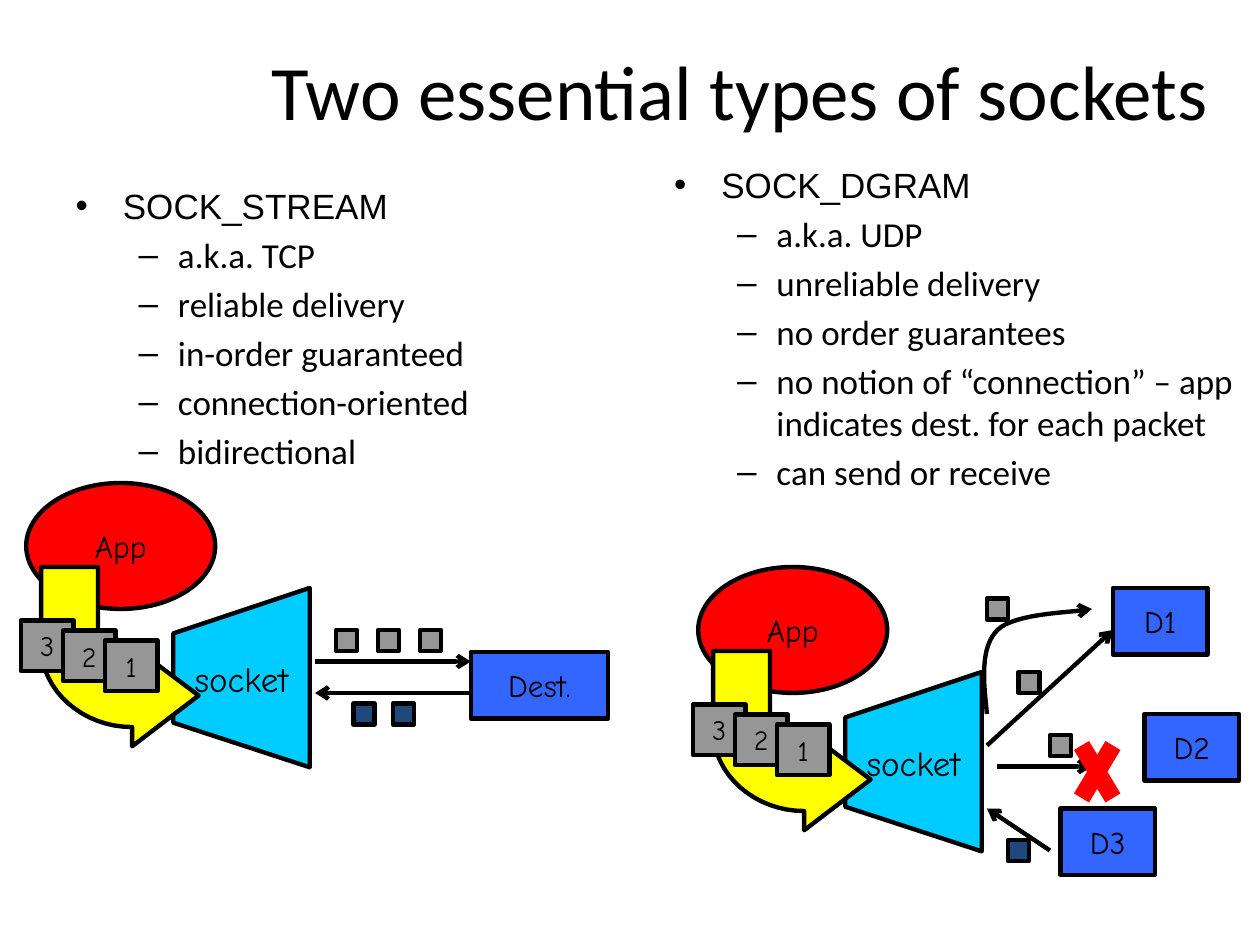
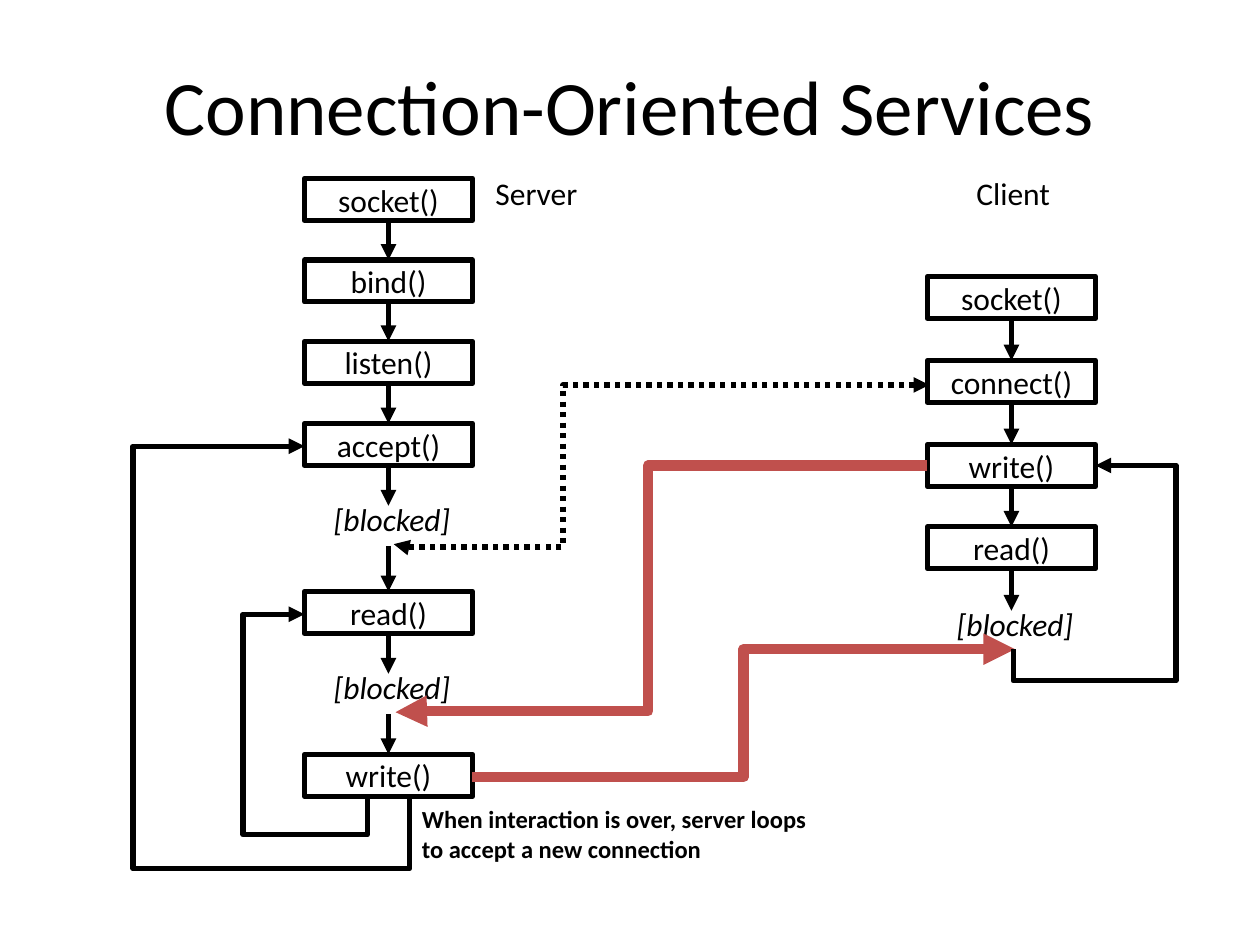
from lxml import etree
from pptx import Presentation
from pptx.dml.color import RGBColor
from pptx.enum.dml import MSO_LINE
from pptx.enum.shapes import MSO_CONNECTOR, MSO_SHAPE
from pptx.enum.text import MSO_ANCHOR, MSO_AUTO_SIZE, PP_ALIGN
from pptx.oxml.ns import qn
from pptx.util import Pt

RECTANGLE, OVAL = MSO_SHAPE.RECTANGLE, MSO_SHAPE.OVAL
STRAIGHT, ELBOW = MSO_CONNECTOR.STRAIGHT, MSO_CONNECTOR.ELBOW
DOTTED = MSO_LINE.ROUND_DOT
LEFT, CENTER = PP_ALIGN.LEFT, PP_ALIGN.CENTER
TOP, MIDDLE = MSO_ANCHOR.TOP, MSO_ANCHOR.MIDDLE
NO_FIT = MSO_AUTO_SIZE.NONE

BLACK, GRAY, NAVY, RED = "000000", "969696", "1F497D", "FF0000"
CYAN, YELLOW, BLUE, BRICK = "00CCFF", "FFFF00", "3366FF", "C0504D"

TITLE = {"name": "Calibri", "size": Pt(44)}
TOPIC = {"name": "Arial", "size": Pt(20)}
DETAIL = {"name": "Calibri", "size": Pt(20)}
STEP = {"name": "Calibri", "size": Pt(18)}
WAITING = {**STEP, "italic": True}
NOTE = {"name": "Calibri", "size": Pt(14), "bold": True}
NODE = {"name": "Comic Neue", "size": Pt(18)}
SOCKET = {"name": "Comic Neue", "size": Pt(20)}
PACKET = {"name": "Comic Neue", "size": Pt(16)}

THIN, THICK, HEAVY, CROSS = 2.5, 3, 6, 10
STEP_WIDTH, STEP_HEIGHT = 96, 24


def paint(color_format, color):
    color_format.rgb = RGBColor.from_string(color)


def apply(target, values):
    for name, value in values.items():
        setattr(target, name, value)


def place(shape, left, top, width, height):
    apply(shape, {"left": Pt(left), "top": Pt(top),
                  "width": Pt(width), "height": Pt(height)})


def write(para, text, font):
    span = para.add_run()
    span.text = text
    apply(span.font, font)
    paint(span.font.color, BLACK)


def outline(shape, color, width):
    paint(shape.line.color, color)
    shape.line.width = Pt(width)


def add_heads(shape, kind, ends=("tailEnd",)):
    line = shape.line._get_or_add_ln()
    for end in ends:
        etree.SubElement(line, qn(f"a:{end}"), type=kind)


def finish(shape, fill, width):
    shape.shadow.inherit = False
    if fill:
        shape.fill.solid()
        paint(shape.fill.fore_color, fill)
    else:
        shape.fill.background()
    outline(shape, BLACK, width)


def add_box(page, left, top, width, height, fill=None, text="", font=None,
            kind=RECTANGLE, line=THIN):
    box = page.shapes.add_shape(kind, Pt(left), Pt(top), Pt(width), Pt(height))
    finish(box, fill, line)
    if text:
        apply(box.text_frame, {
            "word_wrap": False, "vertical_anchor": MIDDLE, "margin_left": 0,
            "margin_right": 0, "margin_top": 0, "margin_bottom": 0})
        para = box.text_frame.paragraphs[0]
        para.alignment = CENTER
        write(para, text, font)
    return box


def add_label(page, left, top, width, height, text, font, align=CENTER, anchor=TOP):
    label = page.shapes.add_textbox(Pt(left), Pt(top), Pt(width), Pt(height))
    apply(label.text_frame, {"word_wrap": True, "vertical_anchor": anchor})
    para = label.text_frame.paragraphs[0]
    para.alignment = align
    write(para, text, font)


def add_outline(page, left, top, points, fill=None, close=True):
    spots = [(Pt(left + x), Pt(top + y)) for x, y in points]
    builder = page.shapes.build_freeform(*spots[0])
    builder.add_line_segments(spots[1:], close=close)
    shape = builder.convert_to_shape()
    finish(shape, fill, THIN)
    return shape


def curve(start, first, second, end, steps=16):
    points = []
    for step in range(steps + 1):
        t = step / steps
        weights = ((1 - t) ** 3, 3 * t * (1 - t) ** 2, 3 * t * t * (1 - t), t ** 3)
        points.append(tuple(
            sum(w * spot[axis] for w, spot in zip(weights, (start, first, second, end)))
            for axis in (0, 1)))
    return points


def finish_line(line, color, width):
    outline(line, color, width)
    etree.SubElement(line.element.spPr, qn("a:effectLst"))


def add_line(page, start, end, color=BLACK, width=THIN, head="arrow"):
    line = page.shapes.add_connector(STRAIGHT, *(Pt(v) for v in (*start, *end)))
    finish_line(line, color, width)
    if head:
        add_heads(line, head)
    return line


def add_route(page, start, end, adjusts, turn=0, flips="", color=BLACK, width=THICK,
              dash=None, ends=("tailEnd",)):
    (x1, y1), (x2, y2) = start, end
    wide, high = abs(x2 - x1), abs(y2 - y1)
    if turn == 90:
        wide, high = high, wide
    left, top = (x1 + x2 - wide) / 2, (y1 + y2 - high) / 2
    route = page.shapes.add_connector(
        ELBOW, Pt(left), Pt(top), Pt(left + wide), Pt(top + high))
    frame = route.element.spPr.find(qn("a:xfrm"))
    frame.set("rot", str(turn * 60000))
    for flip in flips:
        frame.set(f"flip{flip}", "1")
    geometry = route.element.spPr.find(qn("a:prstGeom"))
    geometry.set("prst", f"bentConnector{len(adjusts) + 2}")
    guides = geometry.find(qn("a:avLst"))
    for number, percent in enumerate(adjusts, 1):
        etree.SubElement(guides, qn("a:gd"), name=f"adj{number}",
                         fmla=f"val {round(percent * 1000)}")
    finish_line(route, color, width)
    if dash:
        route.line.dash_style = dash
    add_heads(route, "triangle", ends)


def set_title(page, text, left, top, width, height):
    title = page.shapes.title
    place(title, left, top, width, height)
    apply(title.text_frame, {"vertical_anchor": MIDDLE, "auto_size": NO_FIT})
    para = title.text_frame.paragraphs[0]
    para.alignment = CENTER
    write(para, text, TITLE)


def fill_list(body, topic, details, left, top, width, height):
    place(body, left, top, width, height)
    frame = body.text_frame
    frame.auto_size = NO_FIT
    write(frame.paragraphs[0], topic, TOPIC)
    for detail in details:
        para = frame.add_paragraph()
        para.level = 1
        write(para, detail, DETAIL)


def draw_sender(page, left, top):
    add_box(page, left + 3, top, 108, 72, RED, "App", NODE, kind=OVAL)
    add_outline(page, left, top, [(165, 60), (87, 86), (87, 137), (165, 162.5)], CYAN)
    add_label(page, left + 60, top + 96, 132, 31, "socket", SOCKET, anchor=MIDDLE)
    outer = curve((63.5, 139.5), (35.5, 139.5), (11.5, 119), (11.5, 93))
    inner = curve((44, 93), (44, 98.5), (52.5, 103.5), (63.5, 103.5))
    add_outline(page, left, top, [
        (101.5, 121.5), (63.5, 150.5), *outer, (11.5, 48), (44, 48), *inner,
        (63.5, 93)], YELLOW)
    for index, number in enumerate("321"):
        add_box(page, left + 24 * index, top + 78.5 + 5.75 * index, 30, 29,
                GRAY, number, PACKET)


def draw_packets(page, left, top, spots, color):
    for x, y in spots:
        add_box(page, left + x, top + y, 12, 12, color)


def draw_stream(page, left, top):
    draw_sender(page, left, top)
    draw_packets(page, left, top, [(180 + 24 * i, 84) for i in range(3)], GRAY)
    near, far = left + 168, left + 257
    add_line(page, (near, top + 102), (far, top + 102))
    add_box(page, far, top + 96.5, 78.5, 38, BLUE, "Dest.", NODE)
    add_line(page, (far, top + 120), (near, top + 120))
    draw_packets(page, left, top, [(190, 126), (212.5, 126)], NAVY)


def draw_datagram(page, left, top):
    def spot(x, y):
        return left + x, top + y

    draw_sender(page, left, top)
    draw_packets(page, left, top, [(168, 18), (186, 60), (204, 96)], GRAY)
    add_line(page, spot(168, 102), spot(240, 36))
    for name, x, y in (("D1", 240, 12), ("D3", 210, 138), ("D2", 258, 84)):
        add_box(page, *spot(x, y), 54, 38, BLUE, name, NODE)
    bend = (174, 36)
    path = (curve((168, 84), (166, 65), (164, 46), bend)
            + curve(bend, (184, 26), (219, 26), (228, 24))[1:])
    add_heads(add_outline(page, left, top, path, close=False), "arrow")
    add_line(page, spot(174, 114), spot(228, 114))
    for x1, x2 in ((222, 240), (240, 222)):
        add_line(page, spot(x1, 102), spot(x2, 132), RED, CROSS, head=None)
    add_line(page, spot(204, 162), spot(168, 138))
    draw_packets(page, left, top, [(180, 156)], NAVY)


def draw_calls(page, left, top, steps):
    middle = left + STEP_WIDTH / 2
    previous, bottom = None, None
    for name, offset in steps:
        y = top + offset
        if name == "[blocked]":
            box, entry, leave = None, y + 7, y + 30
            add_label(page, left - 25, y, 150, 29, name, WAITING)
        else:
            box = add_box(page, left, y, STEP_WIDTH, STEP_HEIGHT, None, name, STEP,
                          line=THICK)
            entry, leave = y, y + STEP_HEIGHT
        if bottom is not None:
            arrow = add_line(page, (middle, bottom), (middle, entry),
                             width=THICK, head="triangle")
            if previous:
                arrow.begin_connect(previous, 2)
            if box:
                arrow.end_connect(box, 0)
        previous, bottom = box, leave


def build_types(deck):
    page = deck.slides.add_slide(deck.slide_layouts[3])
    set_title(page, "Two essential types of sockets", 138, 6, 570, 90)
    fill_list(page.placeholders[1], "SOCK_STREAM", [
        "a.k.a. TCP", "reliable delivery", "in-order guaranteed",
        "connection-oriented", "bidirectional"], 36, 102, 318, 380)
    fill_list(page.placeholders[2], "SOCK_DGRAM", [
        "a.k.a. UDP", "unreliable delivery", "no order guarantees",
        "no notion of “connection” – app indicates dest. for each packet",
        "can send or receive"], 378, 90, 342, 366)
    draw_stream(page, 12, 276)
    draw_datagram(page, 396, 324)


def build_services(deck):
    page = deck.slides.add_slide(deck.slide_layouts[5])
    set_title(page, "Connection-Oriented Services", 36, 15, 648, 90)
    draw_calls(page, 174, 102, [
        ("socket()", 0), ("bind()", 46.5), ("listen()", 93), ("accept()", 140),
        ("[blocked]", 180), ("read()", 236), ("[blocked]", 276), ("write()", 329)])
    draw_calls(page, 530, 158, [
        ("socket()", 0), ("connect()", 48), ("write()", 96), ("read()", 143),
        ("[blocked]", 184)])
    add_route(page, (531, 220), (225, 311), (68.4, 101.8), 180, "V",
              dash=DOTTED, ends=("headEnd", "tailEnd"))
    add_route(page, (530, 266), (226, 407), (52.5, 99.6), 180, "V", BRICK, HEAVY)
    add_route(page, (270, 444), (580, 371), (50,), 0, "V", BRICK, HEAVY)
    add_route(page, (210, 456), (174, 351), (-19.9, 197.6), 90, "H")
    add_route(page, (579, 371), (626, 266), (-17.2, 197.9), 90, "HV")
    add_route(page, (234, 455), (174, 255), (-20.7, 263.3), 90, "H")
    add_label(page, 276, 96, 162, 36, "Server", STEP, LEFT)
    add_label(page, 498, 96, 162, 36, "Client", STEP)
    add_label(page, 234, 456, 240, 41,
              "When interaction is over, server loops to accept a new connection",
              NOTE, LEFT)


def main():
    deck = Presentation()
    deck.slide_width, deck.slide_height = Pt(720), Pt(540)
    build_types(deck)
    build_services(deck)
    deck.save("out.pptx")


if __name__ == "__main__":
    main()
